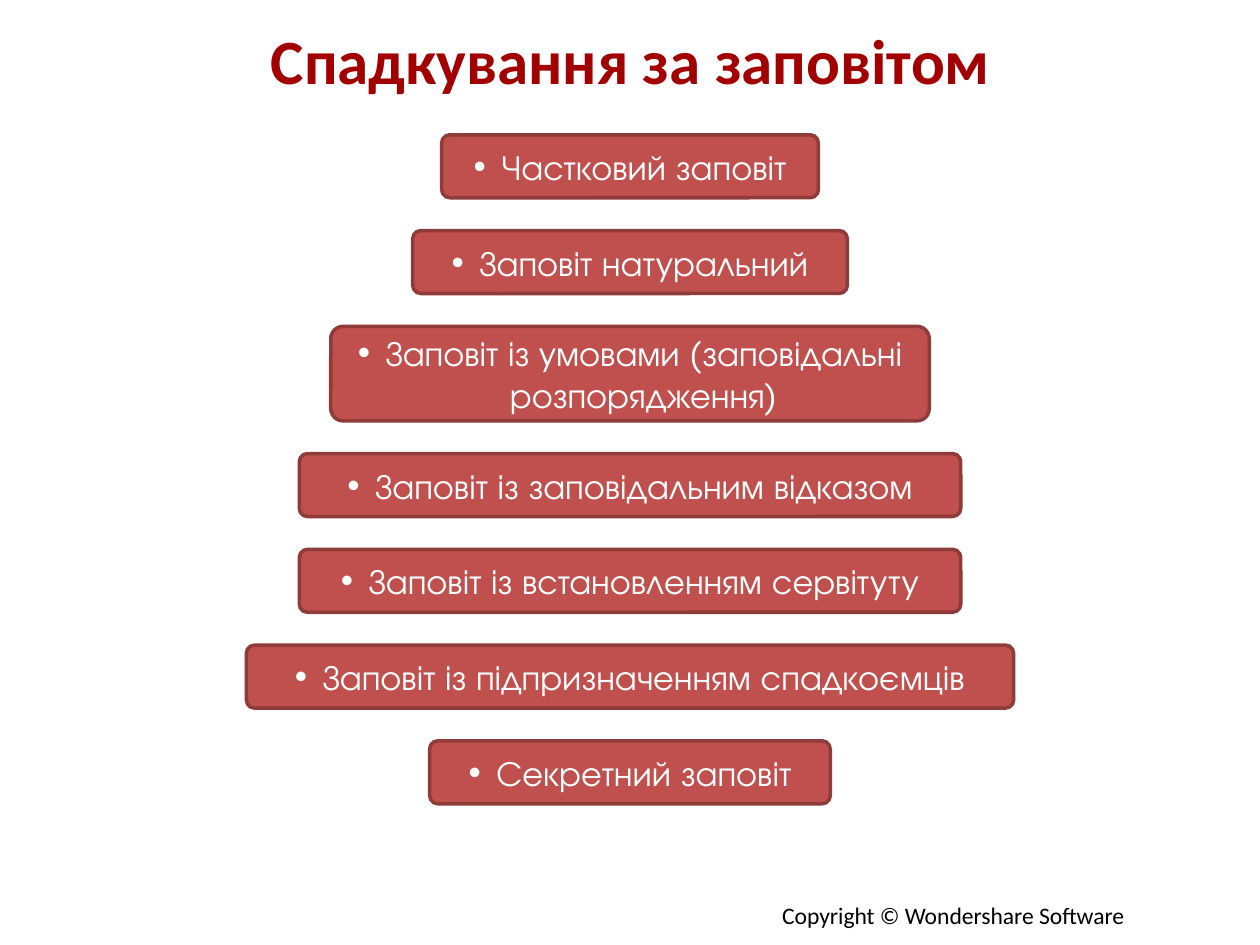
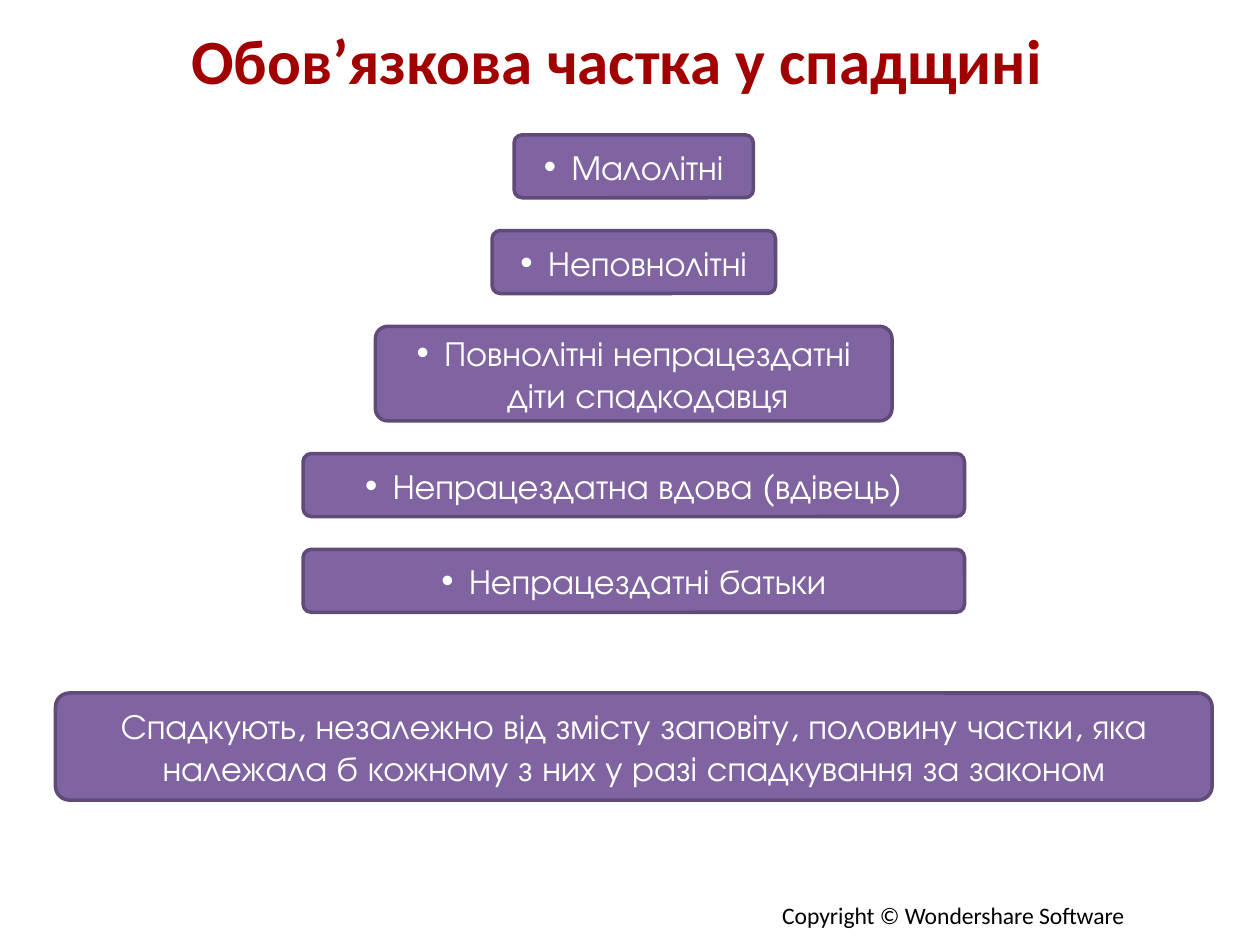
from dataclasses import dataclass

from lxml.etree import SubElement
from pptx import Presentation
from pptx.dml.color import RGBColor
from pptx.enum.shapes import MSO_SHAPE
from pptx.enum.text import MSO_ANCHOR, MSO_AUTO_SIZE, PP_ALIGN
from pptx.oxml.ns import qn
from pptx.util import Inches, Pt


@dataclass(frozen=True)
class Theme:
    head_font: str = "Calibri"
    body_font: str = "TeX Gyre Adventor"
    head_size: float = 36
    body_size: float = 20
    foot_size: float = 13.5
    head_color: str = "A20000"
    foot_color: str = "000000"
    body_color: str = "FFFFFF"
    red: tuple = ("C0504D", "8E3B39")
    purple: tuple = ("8064A2", "5F4A78")


THEME = Theme()

# Box stack geometry, in inches
TOP, GAP = 1.07, 0.26
LOW, TALL = 0.5, 0.75
HANG = 0.22

# Each item: text, box width, box height
WILLS = [
    ("Частковий заповіт", 2.99, LOW),
    ("Заповіт натуральний", 3.45, LOW),
    ("Заповіт із умовами (заповідальні розпорядження)", 4.75, TALL),
    ("Заповіт із заповідальним відказом", 5.25, LOW),
    ("Заповіт із встановленням сервітуту", 5.25, LOW),
    ("Заповіт із підпризначенням спадкоємців", 6.09, LOW),
    ("Секретний заповіт", 3.18, LOW),
]
HEIRS = [
    ("Малолітні", 1.9, LOW),
    ("Неповнолітні", 2.25, LOW),
    ("Повнолітні непрацездатні діти спадкодавця", 4.1, TALL),
    ("Непрацездатна вдова (вдівець)", 5.25, LOW),
    ("Непрацездатні батьки", 5.25, LOW),
]
SHARE = ("Спадкують, незалежно від змісту заповіту, половину частки, "
         "яка належала б кожному з них у разі спадкування за законом")


def add_bullet(para):
    props = para._p.get_or_add_pPr()
    props.set("marL", str(Inches(HANG)))
    props.set("indent", str(-Inches(HANG)))
    SubElement(props, qn("a:buFont")).set("typeface", "Arial")
    SubElement(props, qn("a:buChar")).set("char", "•")


def set_text(shape, text, *, font, size, color, bold=False, bullet=False,
             align=PP_ALIGN.CENTER, anchor=MSO_ANCHOR.MIDDLE, wrap=True,
             fit=MSO_AUTO_SIZE.NONE):
    frame = shape.text_frame
    frame.word_wrap = wrap
    frame.auto_size = fit
    frame.vertical_anchor = anchor
    para = frame.paragraphs[0]
    para.alignment = align
    if bullet:
        add_bullet(para)
    run = para.add_run()
    run.text = text
    run.font.name = font
    run.font.size = Pt(size)
    run.font.bold = bold
    run.font.color.rgb = RGBColor.from_string(color)


def add_box(slide, text, left, top, width, height, colors, bullet=True):
    box = slide.shapes.add_shape(
        MSO_SHAPE.ROUNDED_RECTANGLE,
        Inches(left), Inches(top), Inches(width), Inches(height))
    box.adjustments[0] = 0.13
    box.shadow.inherit = False
    fill, line = colors
    box.fill.solid()
    box.fill.fore_color.rgb = RGBColor.from_string(fill)
    box.line.color.rgb = RGBColor.from_string(line)
    box.line.width = Pt(2)
    set_text(box, text, font=THEME.body_font, size=THEME.body_size,
             color=THEME.body_color, bullet=bullet)


def add_stack(slide, items, center, colors):
    top = TOP
    for text, width, height in items:
        add_box(slide, text, center - width / 2, top, width, height, colors)
        top += height + GAP


def add_footer(slide):
    foot = slide.shapes.add_textbox(
        Inches(6.11), Inches(7.1), Inches(2.97), Inches(0.33))
    set_text(foot, "Copyright © Wondershare Software", font=THEME.head_font,
             size=THEME.foot_size, color=THEME.foot_color,
             align=PP_ALIGN.LEFT, anchor=MSO_ANCHOR.TOP, wrap=False,
             fit=MSO_AUTO_SIZE.SHAPE_TO_FIT_TEXT)


def add_slide(deck, title, left):
    slide = deck.slides.add_slide(deck.slide_layouts[5])
    head = slide.shapes.title
    head.left, head.top = Inches(left), Inches(0.13)
    head.width, head.height = Inches(7.63), Inches(0.68)
    set_text(head, title, font=THEME.head_font, size=THEME.head_size,
             color=THEME.head_color, bold=True)
    add_footer(slide)
    return slide


def main():
    deck = Presentation()
    deck.slide_width, deck.slide_height = Inches(10), Inches(7.5)

    # Kinds of will
    wills = add_slide(deck, "Спадкування за заповітом", 1.19)
    add_stack(wills, WILLS, 5, THEME.red)

    # Heirs with a compulsory share
    heirs = add_slide(deck, "Обов’язкова частка у спадщині", 1.08)
    add_stack(heirs, HEIRS, 5.03, THEME.purple)
    add_box(heirs, SHARE, 0.44, 5.5, 9.18, 0.85, THEME.purple, bullet=False)

    deck.save("out.pptx")


if __name__ == "__main__":
    main()
